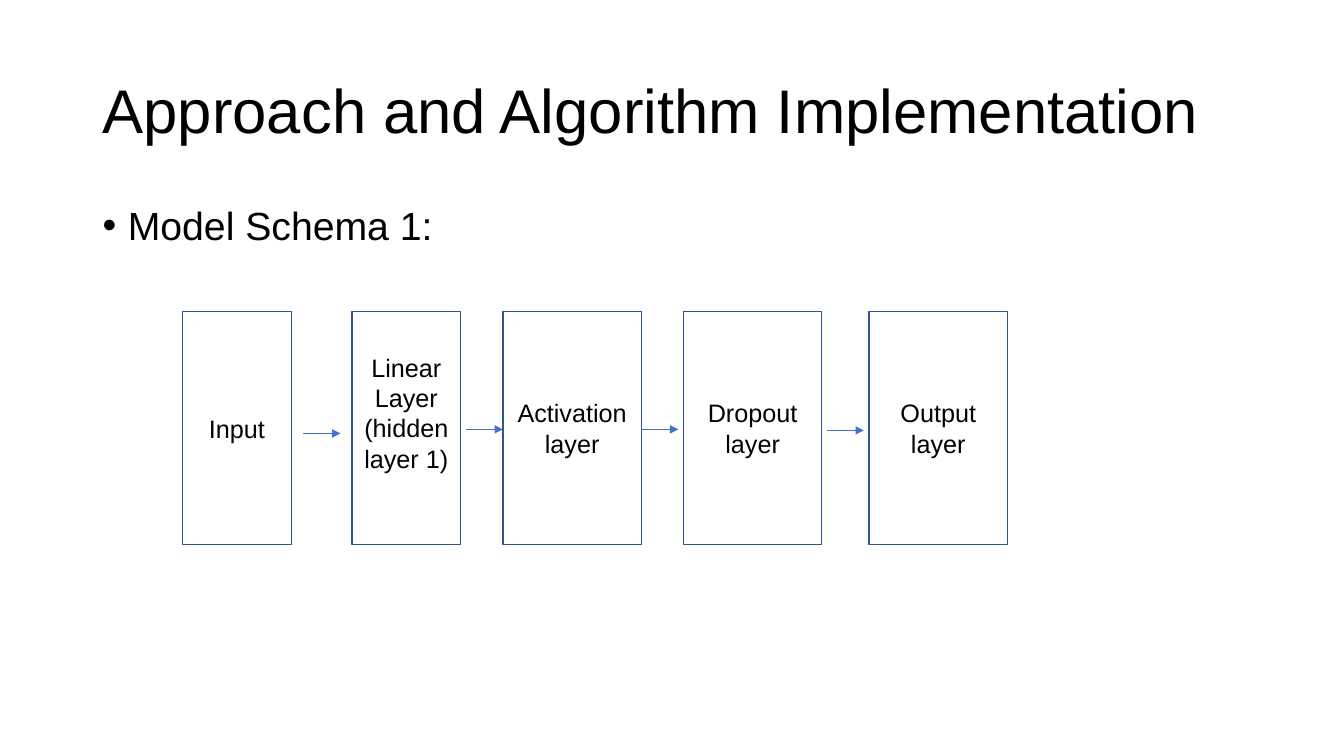
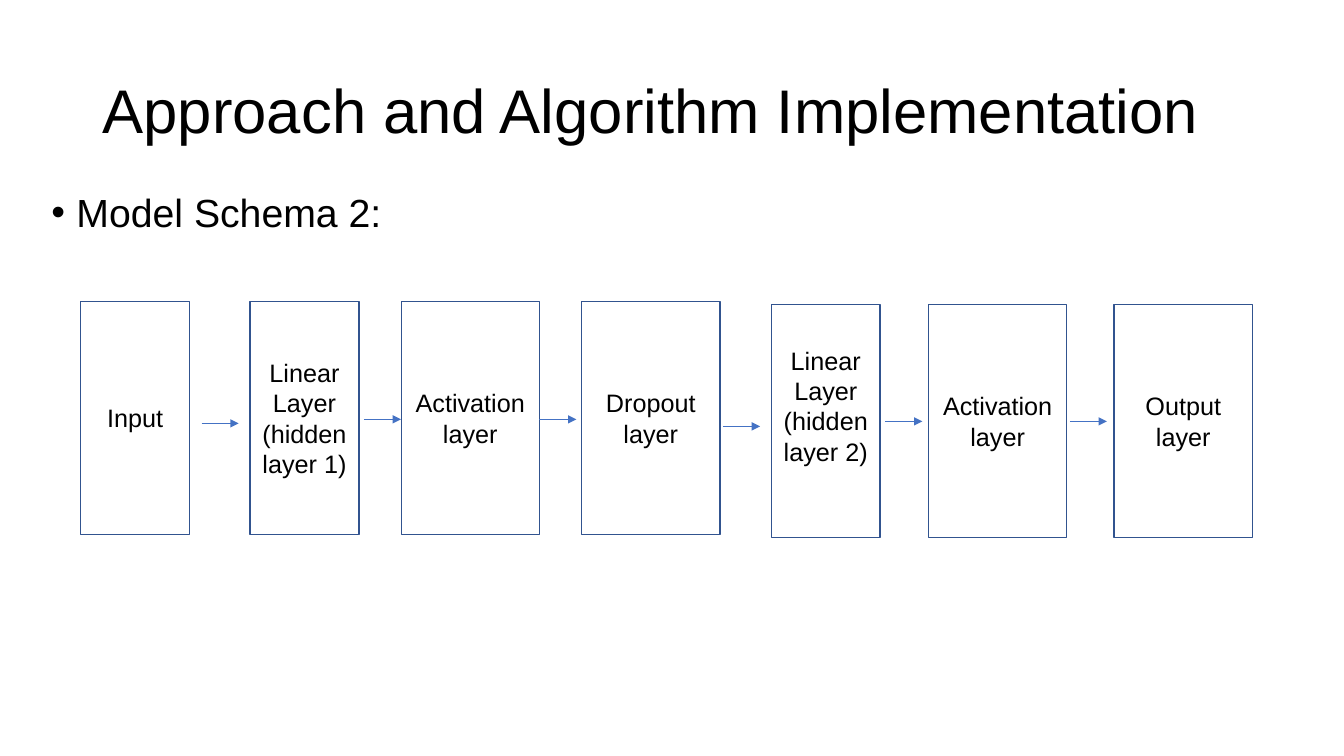
"""Build two slides that show model schemas as chains of layers, placed by percent of the slide."""
from dataclasses import dataclass, replace

from lxml.etree import SubElement
from pptx import Presentation
from pptx.dml.color import RGBColor
from pptx.enum.shapes import MSO_CONNECTOR as Link, MSO_SHAPE as Preset
from pptx.enum.text import MSO_ANCHOR as Anchor, PP_ALIGN as Align
from pptx.oxml.ns import qn
from pptx.slide import Slide
from pptx.text.text import TextFrame
from pptx.util import Emu, Inches, Pt

WIDTH, HEIGHT = Inches(13.33), Inches(7.5)
FONT = "Arial"
BLACK, BORDER, ARROW = "000000", "31538F", "4472C4"
HEADING = "Approach and Algorithm Implementation"
MARGIN = 6.9
NARROW, WIDE, TALL = 8.1, 10.28, 30.8
ARROW_LENGTH = 2.76


@dataclass(frozen=True)
class Layer:
    """A box with the gap and the arrow that follow it, in percent of the slide."""
    label: str
    width: float = WIDE
    gap: float = 3.15
    arrow_gap: float = 0.0
    arrow_drop: float = 0.2
    drop: float = 0.0
    raised: bool = False


@dataclass(frozen=True)
class Schema:
    """A caption and a chain of layers with their starting corners in percent."""
    caption: str
    caption_left: float
    caption_top: float
    left: float
    top: float
    layers: tuple[Layer, ...]


INPUT = Layer("Input", NARROW, 4.5, 0.9, 0.73)
HIDDEN = Layer("Linear Layer\n(hidden layer 1)", NARROW, arrow_gap=0.38)
ACTIVATION = Layer("Activation layer")
DROPOUT = Layer("Dropout layer", gap=3.53, arrow_gap=0.38, arrow_drop=0.33)
OUTPUT = Layer("Output layer")

SCHEMAS = (
    Schema("Model Schema 1:", MARGIN, 26.67, 13.58, 41.2,
           (INPUT, replace(HIDDEN, raised=True), ACTIVATION, DROPOUT, OUTPUT)),
    Schema("Model Schema 2:", 3.08, 24.93, 6.0, 39.87, (
        INPUT, HIDDEN, ACTIVATION,
        replace(DROPOUT, gap=3.83, arrow_gap=0.23, arrow_drop=1.13),
        Layer("Linear Layer\n(hidden layer 2)", NARROW, 3.6, 0.38, 0.07, 0.4, True),
        replace(ACTIVATION, gap=3.53, arrow_gap=0.23, arrow_drop=0.07, drop=0.4),
        replace(OUTPUT, drop=0.4),
    )),
)


def across(percent: float) -> Emu:
    """Turn a percent of the slide width into a length."""
    return Emu(round(WIDTH * percent / 100))


def down(percent: float) -> Emu:
    """Turn a percent of the slide height into a length."""
    return Emu(round(HEIGHT * percent / 100))


def colour(code: str) -> RGBColor:
    """Turn a hex string into a colour."""
    return RGBColor.from_string(code)


def write(frame: TextFrame, text: str, size: int, align: Align = Align.LEFT,
          anchor: Anchor = Anchor.TOP, spacing: float = 1.0) -> None:
    """Fill a frame with evenly formatted paragraphs."""
    frame.text = text
    frame.word_wrap = True
    frame.vertical_anchor = anchor
    for paragraph in frame.paragraphs:
        paragraph.alignment = align
        paragraph.line_spacing = spacing
        for run in paragraph.runs:
            run.font.name = FONT
            run.font.size = Pt(size)
            run.font.color.rgb = colour(BLACK)


def add_heading(slide: Slide) -> None:
    """Add the title that the slides share."""
    heading = slide.shapes.add_textbox(across(MARGIN), down(5.33), across(86.25), down(19.33))
    write(heading.text_frame, HEADING, 44, anchor=Anchor.MIDDLE, spacing=0.9)


def add_caption(slide: Slide, schema: Schema) -> None:
    """Add the bulleted name of the schema."""
    caption = slide.shapes.add_textbox(
        across(schema.caption_left), down(schema.caption_top), across(71.94), down(14.53))
    write(caption.text_frame, schema.caption, 28, spacing=0.9)
    indents = caption.text_frame.paragraphs[0]._p.get_or_add_pPr()
    indents.set("marL", str(Inches(0.25)))
    indents.set("indent", str(-Inches(0.25)))
    SubElement(indents, qn("a:buFont")).set("typeface", FONT)
    SubElement(indents, qn("a:buChar")).set("char", "•")


def add_layer(slide: Slide, layer: Layer, left: float, top: float) -> None:
    """Add one outlined layer box."""
    box = slide.shapes.add_shape(
        Preset.RECTANGLE, across(left), down(top), across(layer.width), down(TALL))
    box.shadow.inherit = False
    box.fill.background()
    box.line.color.rgb = colour(BORDER)
    box.line.width = Pt(1)
    write(box.text_frame, layer.label, 18, Align.CENTER, Anchor.MIDDLE)
    if layer.raised:
        box.text_frame.margin_bottom = Inches(0.35)


def add_arrow(slide: Slide, left: float, level: float) -> None:
    """Add a short arrow that points right."""
    arrow = slide.shapes.add_connector(
        Link.STRAIGHT, across(left), down(level), across(left + ARROW_LENGTH), down(level))
    arrow.line.color.rgb = colour(ARROW)
    arrow.line.width = Pt(0.75)
    SubElement(arrow.line._get_or_add_ln(), qn("a:tailEnd")).set("type", "triangle")
    SubElement(arrow._element.spPr, qn("a:effectLst"))


def add_chain(slide: Slide, schema: Schema) -> None:
    """Add the layers from left to right with an arrow after each but the last."""
    left = schema.left
    for layer in schema.layers:
        top = schema.top + layer.drop
        add_layer(slide, layer, left, top)
        right = left + layer.width
        if layer is not schema.layers[-1]:
            add_arrow(slide, right + layer.arrow_gap, top + TALL / 2 + layer.arrow_drop)
        left = right + layer.gap


def main() -> None:
    """Build and save the presentation."""
    deck = Presentation()
    deck.slide_width, deck.slide_height = WIDTH, HEIGHT
    for schema in SCHEMAS:
        slide = deck.slides.add_slide(deck.slide_layouts[6])
        add_caption(slide, schema)
        add_heading(slide)
        add_chain(slide, schema)
    deck.save("out.pptx")


if __name__ == "__main__":
    main()
